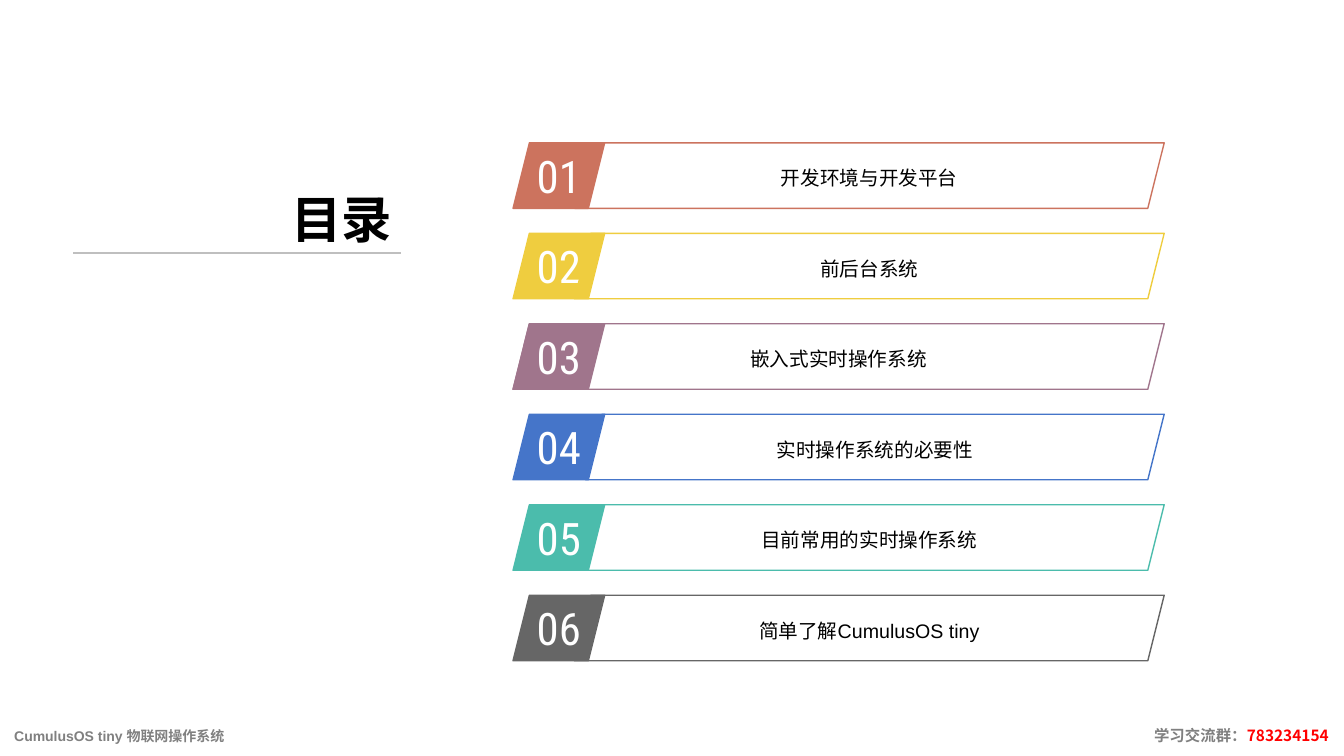
from dataclasses import dataclass

from lxml.etree import SubElement
from pptx import Presentation
from pptx.dml.color import RGBColor
from pptx.enum.shapes import MSO_CONNECTOR as Link, MSO_SHAPE as Preset
from pptx.enum.text import MSO_ANCHOR as Anchor, MSO_AUTO_SIZE as AutoSize, PP_ALIGN as Align
from pptx.oxml.ns import qn
from pptx.slide import Slide
from pptx.util import Cm, Pt


@dataclass(frozen=True)
class Theme:
    body_font: str = "Arial"
    number_font: str = "Roboto Condensed"
    group_font: str = "Noto Sans CJK KR"
    ink: str = "000000"
    paper: str = "FFFFFF"
    rule: str = "BFBFBF"
    muted: str = "808080"
    alert: str = "FF0000"
    title_size: float = 36
    number_size: float = 32
    topic_size: float = 14
    group_size: float = 11
    course_size: float = 10


@dataclass(frozen=True)
class Chapter:
    topic: str
    color: str
    bar_left: float = 14.48


THEME = Theme()
SLIDE_WIDTH, SLIDE_HEIGHT = 33.87, 19.05
CHAPTERS = [
    Chapter("开发环境与开发平台", "CC735E"),
    Chapter("前后台系统", "EFCD3F"),
    Chapter("嵌入式实时操作系统", "A0758C", bar_left=12.93),
    Chapter("实时操作系统的必要性", "4575C9", bar_left=14.76),
    Chapter("目前常用的实时操作系统", "4BBCAC"),
    Chapter("简单了解CumulusOS tiny", "666666"),
]
FIRST_TOP, PITCH, ROW_HEIGHT = 3.6, 2.28, 1.65
BADGE_LEFT, BADGE_WIDTH = 12.93, 2.31
BAR_RIGHT = 29.34


def style_font(font, name: str, size: float, color: str, bold: bool = False) -> None:
    font.name, font.size, font.bold = name, Pt(size), bold
    font.color.rgb = RGBColor.from_string(color)


def add_slanted(slide: Slide, left: float, top: float, width: float, color: str, text: str):
    """Add an outlined parallelogram with centred text."""
    slanted = slide.shapes.add_shape(
        Preset.PARALLELOGRAM, Cm(left), Cm(top), Cm(width), Cm(ROW_HEIGHT))
    slanted.shadow.inherit = False
    slanted.fill.background()
    slanted.line.color.rgb = RGBColor.from_string(color)
    slanted.line.width = Pt(1)
    slanted.text_frame.vertical_anchor = Anchor.MIDDLE
    slanted.text_frame.text = text
    slanted.text_frame.paragraphs[0].alignment = Align.CENTER
    return slanted


def add_chapter(slide: Slide, index: int, chapter: Chapter) -> None:
    top = FIRST_TOP + index * PITCH

    badge = add_slanted(slide, BADGE_LEFT, top, BADGE_WIDTH, chapter.color, f"{index + 1:02d}")
    badge.fill.solid()
    badge.fill.fore_color.rgb = RGBColor.from_string(chapter.color)
    badge.text_frame.word_wrap = False
    style_font(badge.text_frame.paragraphs[0].font,
               THEME.number_font, THEME.number_size, THEME.paper)

    bar = add_slanted(slide, chapter.bar_left, top, BAR_RIGHT - chapter.bar_left,
                      chapter.color, chapter.topic)
    topic = bar.text_frame.paragraphs[0]
    topic.line_spacing = 1.2
    style_font(topic.font, THEME.body_font, THEME.topic_size, THEME.ink)


def add_heading(slide: Slide) -> None:
    rule = slide.shapes.add_connector(Link.STRAIGHT, Cm(1.85), Cm(6.38), Cm(10.11), Cm(6.38))
    rule.line.color.rgb = RGBColor.from_string(THEME.rule)
    rule.line.width = Pt(1.5)
    SubElement(rule._element.spPr, qn("a:effectLst"))

    title = slide.shapes.title
    title.left, title.top, title.width, title.height = Cm(4.06), Cm(3.6), Cm(6.07), Cm(2.79)
    frame = title.text_frame
    frame.text = "目录"
    frame.auto_size = AutoSize.NONE
    frame.vertical_anchor = Anchor.BOTTOM
    frame.paragraphs[0].alignment = Align.RIGHT
    style_font(frame.paragraphs[0].font, THEME.body_font, THEME.title_size, THEME.ink, bold=True)


def add_footer(slide: Slide) -> None:
    footer = slide.shapes.add_textbox(Cm(0), Cm(18.03), Cm(SLIDE_WIDTH), Cm(1.02))
    frame = footer.text_frame
    frame.word_wrap = True
    frame.vertical_anchor = Anchor.MIDDLE
    frame.margin_left = Cm(0.36)
    line = frame.paragraphs[0]

    # Right tab stop that carries the study group to the slide's edge
    tabs = SubElement(line._p.get_or_add_pPr(), qn("a:tabLst"))
    SubElement(tabs, qn("a:tab"), pos=str(Cm(33.13)), algn="r")

    for text, font, size, color in (
        ("CumulusOS tiny 物联网操作系统\t", THEME.body_font, THEME.course_size, THEME.muted),
        ("学习交流群：", THEME.body_font, THEME.group_size, THEME.muted),
        ("783234154", THEME.group_font, THEME.group_size, THEME.alert),
    ):
        run = line.add_run()
        run.text = text
        style_font(run.font, font, size, color, bold=True)


def main() -> None:
    deck = Presentation()
    deck.slide_width, deck.slide_height = Cm(SLIDE_WIDTH), Cm(SLIDE_HEIGHT)
    slide = deck.slides.add_slide(deck.slide_layouts.get_by_name("Title Only"))

    # Contents list
    for index, chapter in enumerate(CHAPTERS):
        add_chapter(slide, index, chapter)

    # Heading and footer
    add_heading(slide)
    add_footer(slide)
    deck.save("out.pptx")


if __name__ == "__main__":
    main()
